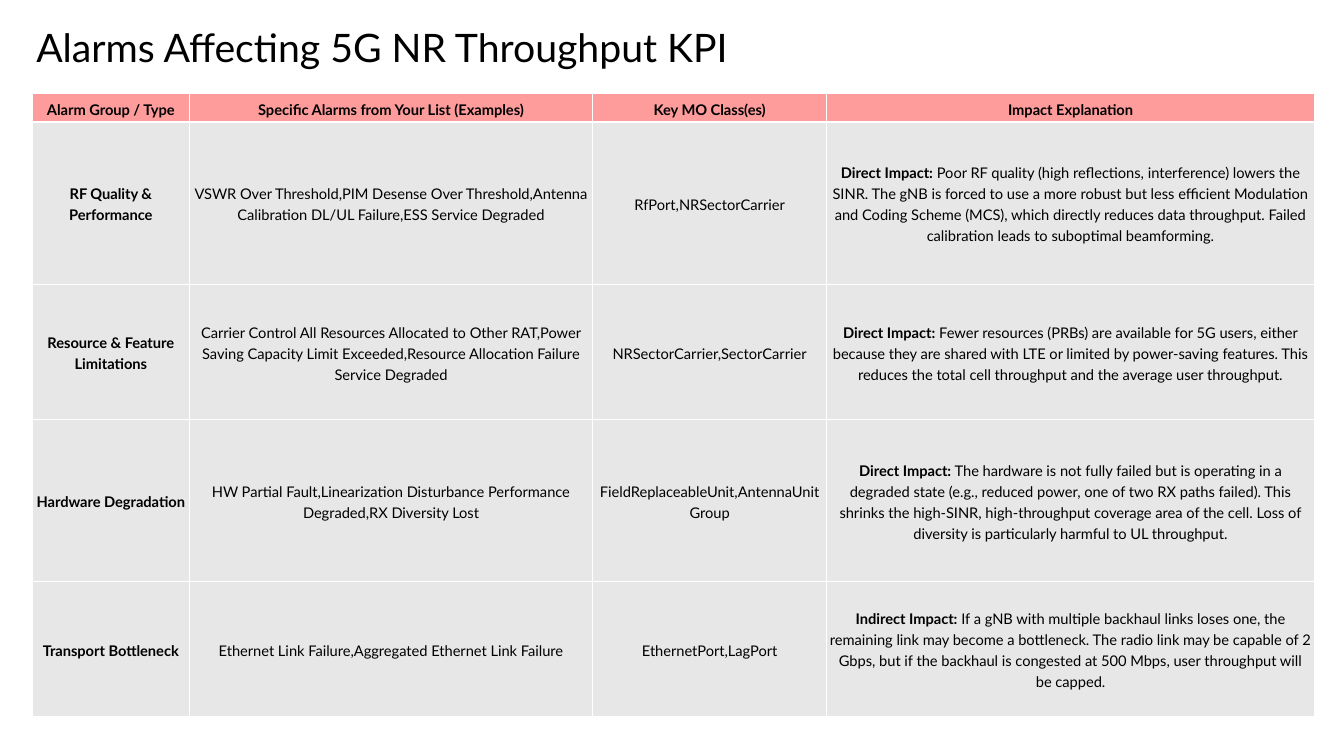
from dataclasses import dataclass

from lxml.etree import SubElement
from pptx import Presentation
from pptx.dml.color import RGBColor
from pptx.enum.text import MSO_ANCHOR, MSO_AUTO_SIZE, PP_ALIGN
from pptx.oxml.ns import qn
from pptx.util import Inches, Length, Pt

SLIDE_WIDTH, SLIDE_HEIGHT = Inches(13.33), Inches(7.5)
FONT = "Lato"
BLACK, WHITE, HEADER_PINK, BODY_GREY = "000000", "FFFFFF", "FE9C9C", "E7E7E7"

# Percent of the slide's width or height
TABLE_LEFT, TABLE_TOP = 2.4, 12.4
COLUMN_WIDTHS = (11.7, 30.01, 17.4, 36.31)
HEADER_ROW, TALL_ROW, SHORT_ROW = 3.73, 21.47, 17.87

CELL_FORMAT = {
    "margin_left": Inches(0.03),
    "margin_right": Inches(0.03),
    "margin_top": Inches(0.02),
    "margin_bottom": Inches(0.02),
    "vertical_anchor": MSO_ANCHOR.MIDDLE,
}


@dataclass(frozen=True)
class Span:
    text: str
    bold: bool = False


@dataclass(frozen=True)
class AlarmGroup:
    name: str
    alarms: str
    classes: str
    impact: str
    explanation: str
    height: float

    def cells(self) -> list[list[Span]]:
        return [
            [Span(self.name, True)],
            [Span(self.alarms)],
            [Span(self.classes)],
            [Span(f"{self.impact} Impact:", True), Span(f" {self.explanation}")],
        ]


HEADINGS = (
    "Alarm Group / Type",
    "Specific Alarms from Your List (Examples)",
    "Key MO Class(es)",
    "Impact Explanation",
)
ALARM_GROUPS = (
    AlarmGroup(
        "RF Quality & Performance",
        "VSWR Over Threshold,PIM Desense Over Threshold,Antenna Calibration "
        "DL/UL Failure,ESS Service Degraded",
        "RfPort,NRSectorCarrier",
        "Direct",
        "Poor RF quality (high reflections, interference) lowers the SINR. "
        "The gNB is forced to use a more robust but less efficient Modulation "
        "and Coding Scheme (MCS), which directly reduces data throughput. "
        "Failed calibration leads to suboptimal beamforming.",
        TALL_ROW,
    ),
    AlarmGroup(
        "Resource & Feature Limitations",
        "Carrier Control All Resources Allocated to Other RAT,Power Saving "
        "Capacity Limit Exceeded,Resource Allocation Failure Service Degraded",
        "NRSectorCarrier,SectorCarrier",
        "Direct",
        "Fewer resources (PRBs) are available for 5G users, either because "
        "they are shared with LTE or limited by power-saving features. This "
        "reduces the total cell throughput and the average user throughput.",
        SHORT_ROW,
    ),
    AlarmGroup(
        "Hardware Degradation",
        "HW Partial Fault,Linearization Disturbance Performance Degraded,"
        "RX Diversity Lost",
        "FieldReplaceableUnit,AntennaUnitGroup",
        "Direct",
        "The hardware is not fully failed but is operating in a degraded state "
        "(e.g., reduced power, one of two RX paths failed). This shrinks the "
        "high-SINR, high-throughput coverage area of the cell. Loss of "
        "diversity is particularly harmful to UL throughput.",
        TALL_ROW,
    ),
    AlarmGroup(
        "Transport Bottleneck",
        "Ethernet Link Failure,Aggregated Ethernet Link Failure",
        "EthernetPort,LagPort",
        "Indirect",
        "If a gNB with multiple backhaul links loses one, the remaining link "
        "may become a bottleneck. The radio link may be capable of 2 Gbps, but "
        "if the backhaul is congested at 500 Mbps, user throughput will be capped.",
        SHORT_ROW,
    ),
)


def across(percent: float) -> Length:
    return Length(round(SLIDE_WIDTH * percent / 100))


def down(percent: float) -> Length:
    return Length(round(SLIDE_HEIGHT * percent / 100))


def colour(value: str) -> RGBColor:
    return RGBColor.from_string(value)


def apply_format(target: object, values: dict[str, object]) -> None:
    for name, value in values.items():
        setattr(target, name, value)


def write_spans(para, spans: list[Span], size: float) -> None:
    for span in spans:
        run = para.add_run()
        run.text = span.text
        apply_format(run.font, {"name": FONT, "size": Pt(size), "bold": span.bold})
        run.font.color.rgb = colour(BLACK)


def add_borders(cell) -> None:
    """Draw thin white lines on all four sides; call before setting the fill."""
    properties = cell._tc.get_or_add_tcPr()
    for side in ("lnL", "lnR", "lnT", "lnB"):
        line = SubElement(properties, qn(f"a:{side}"), w=str(Pt(1)))
        fill = SubElement(line, qn("a:solidFill"))
        SubElement(fill, qn("a:srgbClr"), val=WHITE)


def fill_cell(cell, spans: list[Span], background: str) -> None:
    apply_format(cell, CELL_FORMAT)
    add_borders(cell)
    cell.fill.solid()
    cell.fill.fore_color.rgb = colour(background)
    para = cell.text_frame.paragraphs[0]
    apply_format(para, {"alignment": PP_ALIGN.CENTER, "line_spacing": Pt(15)})
    write_spans(para, spans, 10.5)


def add_title(page, text: str) -> None:
    title = page.shapes.title
    apply_format(title, {"left": across(1.95), "top": down(1.47),
                         "width": across(97.37), "height": down(8.13)})
    apply_format(title.text_frame, {"word_wrap": True,
                                    "vertical_anchor": MSO_ANCHOR.MIDDLE,
                                    "auto_size": MSO_AUTO_SIZE.SHAPE_TO_FIT_TEXT})
    para = title.text_frame.paragraphs[0]
    apply_format(para, {"alignment": PP_ALIGN.LEFT, "line_spacing": 1.2})
    write_spans(para, [Span(text)], 28)


def add_alarm_table(page) -> None:
    heights = [HEADER_ROW] + [group.height for group in ALARM_GROUPS]
    rows = [[[Span(heading, True)] for heading in HEADINGS]]
    rows += [group.cells() for group in ALARM_GROUPS]
    table = page.shapes.add_table(
        len(rows), len(HEADINGS), across(TABLE_LEFT), down(TABLE_TOP),
        across(sum(COLUMN_WIDTHS)), down(sum(heights)),
    ).table
    for column, width in zip(table.columns, COLUMN_WIDTHS):
        column.width = across(width)
    for index, (row, height) in enumerate(zip(table.rows, heights)):
        row.height = down(height)
        background = BODY_GREY if index else HEADER_PINK
        for cell, spans in zip(row.cells, rows[index]):
            fill_cell(cell, spans, background)


def main() -> None:
    deck = Presentation()
    apply_format(deck, {"slide_width": SLIDE_WIDTH, "slide_height": SLIDE_HEIGHT})
    page = deck.slides.add_slide(deck.slide_layouts.get_by_name("Title Only"))
    add_title(page, "Alarms Affecting 5G NR Throughput KPI")
    add_alarm_table(page)
    deck.save("out.pptx")


if __name__ == "__main__":
    main()
